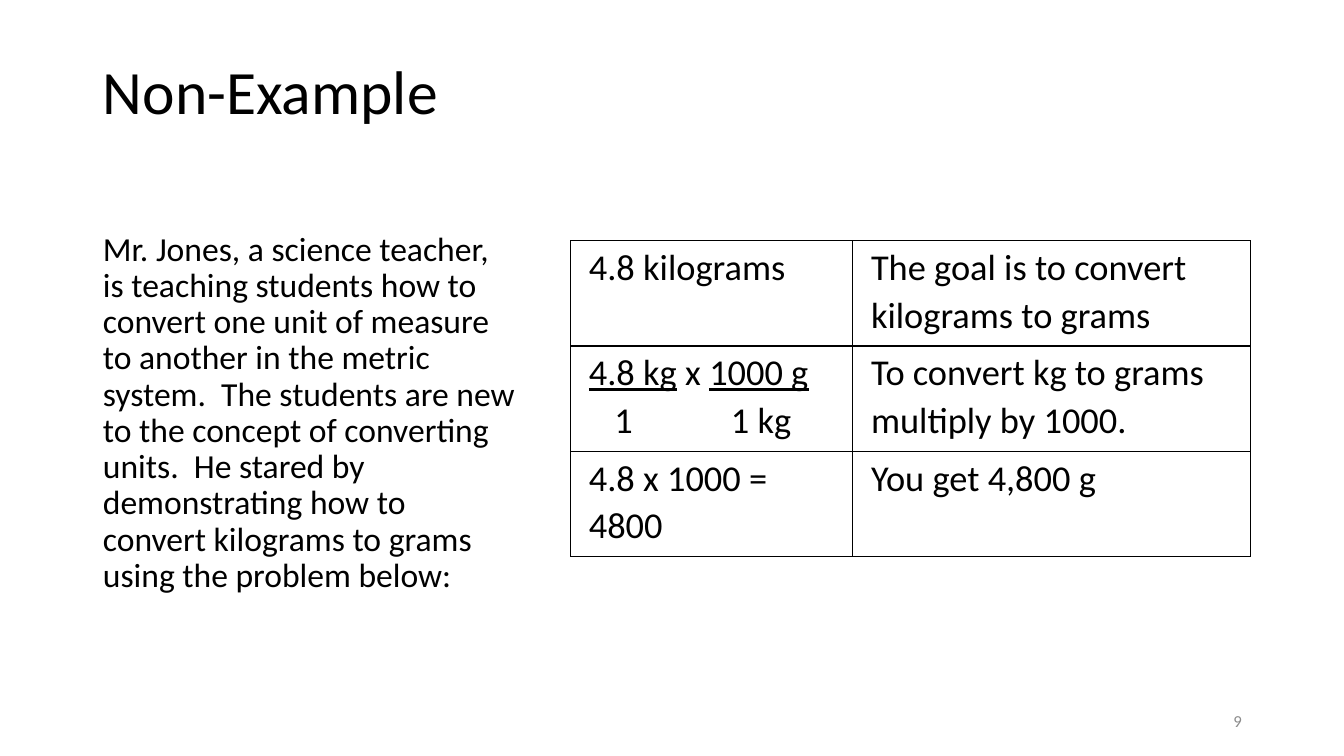
from lxml.etree import SubElement
from pptx import Presentation
from pptx.dml.color import RGBColor
from pptx.enum.text import MSO_ANCHOR, MSO_AUTO_SIZE, PP_ALIGN
from pptx.oxml.ns import qn
from pptx.util import Cm, Pt

FONT = "Calibri"
COLORS = {"text": "000000", "border": "000000", "number": "8C8C8C"}

STORY = (
    "Mr. Jones, a science teacher, is teaching students how to convert one unit "
    "of measure to another in the metric system.  The students are new to the "
    "concept of converting units.  He stared by demonstrating how to convert "
    "kilograms to grams using the problem below:"
)

# Each cell is a list of paragraphs, each paragraph a list of (text, underlined)
STEPS = [
    [[[("4.8 kilograms", False)]],
     [[("The goal is to convert kilograms to grams", False)]]],
    [[[("4.8 kg", True), (" x ", False), ("1000 g", True)],
      [("\t1\t1 kg", False)]],
     [[("To convert kg to grams multiply by 1000.", False)]]],
    [[[("4.8 x 1000 = 4800", False)]],
     [[("You get 4,800 g", False)]]],
]
COLUMN_WIDTHS = [Cm(7.11), Cm(10.03)]
ROW_HEIGHT = Cm(2.65)
DENOMINATOR_TABS = [Cm(0.64), Cm(3.58)]


def style_span(span, size, color="text"):
    span.font.name = FONT
    span.font.size = Pt(size)
    span.font.color.rgb = RGBColor.from_string(COLORS[color])


def place(shape, left, top, width, height):
    shape.left, shape.top = Cm(left), Cm(top)
    shape.width, shape.height = Cm(width), Cm(height)


def write_box(box, text, size, anchor, align=PP_ALIGN.LEFT, spacing=1.0, color="text"):
    """Fill a box with one formatted paragraph without a bullet."""
    frame = box.text_frame
    frame.text = text
    frame.word_wrap = True
    frame.auto_size = MSO_AUTO_SIZE.NONE
    frame.vertical_anchor = anchor
    para = frame.paragraphs[0]
    properties = para._p.get_or_add_pPr()
    properties.set("marL", "0")
    properties.set("indent", "0")
    SubElement(properties, qn("a:buNone"))
    para.alignment = align
    para.line_spacing = spacing
    para.space_before = Pt(0)
    style_span(para.runs[0], size, color)


def add_tab_stops(para, positions):
    tabs = SubElement(para._p.get_or_add_pPr(), qn("a:tabLst"))
    for position in positions:
        SubElement(tabs, qn("a:tab"), pos=str(position), algn="l")


def add_borders(cell):
    properties = cell._tc.get_or_add_tcPr()
    for index, side in enumerate(("lnL", "lnR", "lnT", "lnB")):
        line = properties.makeelement(qn(f"a:{side}"), {"w": str(Pt(1))})
        fill = SubElement(line, qn("a:solidFill"))
        SubElement(fill, qn("a:srgbClr"), val=COLORS["border"])
        properties.insert(index, line)


def write_cell(cell, paragraphs):
    cell.fill.background()
    cell.margin_left = cell.margin_right = Cm(0.46)
    cell.margin_top, cell.margin_bottom = Cm(0.05), Cm(0)
    add_borders(cell)
    frame = cell.text_frame
    for index, spans in enumerate(paragraphs):
        para = frame.paragraphs[0] if index == 0 else frame.add_paragraph()
        if spans[0][0].startswith("\t"):
            add_tab_stops(para, DENOMINATOR_TABS)
        para.line_spacing = 1.07
        for text, underlined in spans:
            span = para.add_run()
            span.text = text
            style_span(span, 26)
            span.font.underline = underlined


def add_steps_table(page):
    frame = page.shapes.add_table(
        len(STEPS), len(COLUMN_WIDTHS), Cm(14.38), Cm(6.07),
        sum(COLUMN_WIDTHS), ROW_HEIGHT * len(STEPS))
    table = frame.table
    table.first_row = table.horz_banding = False
    for column, width in zip(table.columns, COLUMN_WIDTHS):
        column.width = width
    for row, cells in zip(table.rows, STEPS):
        row.height = ROW_HEIGHT
        for cell, paragraphs in zip(row.cells, cells):
            write_cell(cell, paragraphs)


def main():
    deck = Presentation()
    deck.slide_width, deck.slide_height = Cm(33.87), Cm(19.05)
    page = deck.slides.add_slide(deck.slide_layouts[1])

    # Title
    title = page.shapes.title
    place(title, 2.34, 1.27, 10.92, 2.08)
    write_box(title, "Non-Example", 44, MSO_ANCHOR.BOTTOM, spacing=0.9)

    # Story
    story = page.placeholders[1]
    place(story, 2.34, 5.72, 10.92, 10.59)
    write_box(story, STORY, 24, MSO_ANCHOR.TOP, spacing=0.9)

    # Worked steps
    add_steps_table(page)

    # Page number
    number = page.shapes.add_textbox(Cm(23.93), Cm(17.65), Cm(7.62), Cm(1.02))
    write_box(number, "9", 12, MSO_ANCHOR.MIDDLE, PP_ALIGN.RIGHT, color="number")

    deck.save("out.pptx")


if __name__ == "__main__":
    main()
